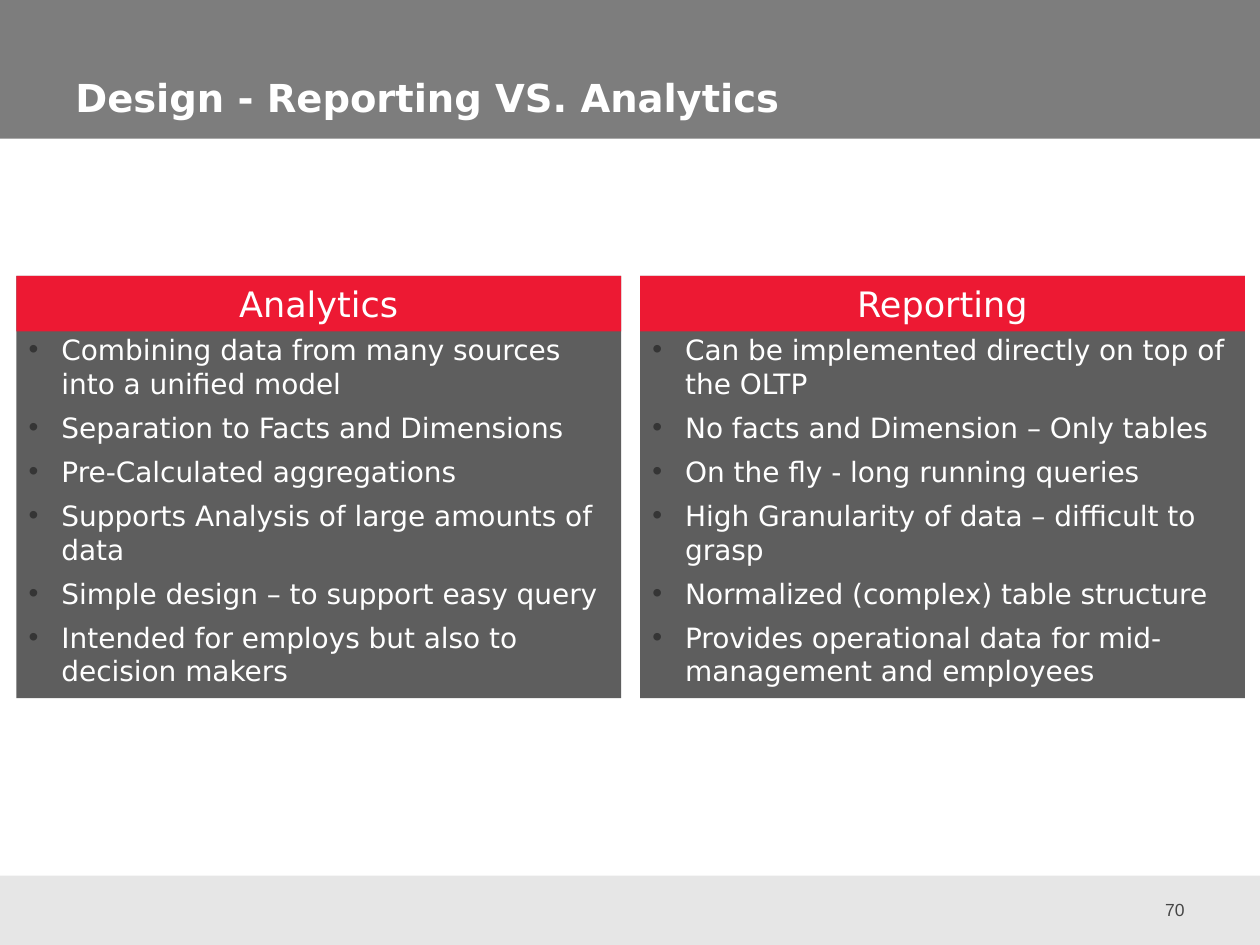
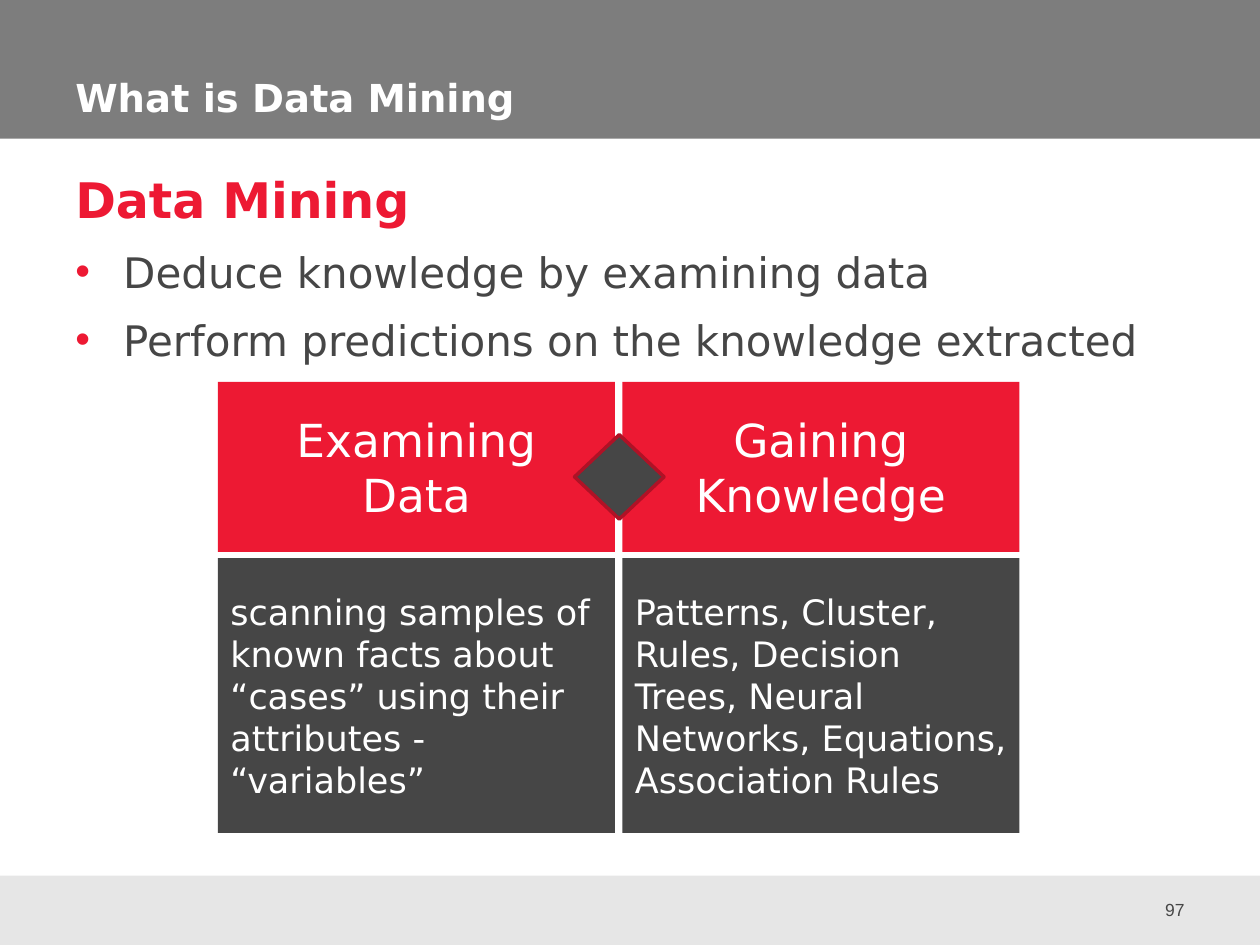
from dataclasses import dataclass
from typing import NamedTuple, Optional

import pptx
import pptx.dml.color
import pptx.enum.shapes
import pptx.enum.text
import pptx.oxml.ns
import pptx.presentation
import pptx.shapes.autoshape
import pptx.slide
import pptx.text.text
import pptx.util
from lxml import etree

Align = pptx.enum.text.PP_ALIGN
Anchor = pptx.enum.text.MSO_ANCHOR
Geometry = pptx.enum.shapes.MSO_SHAPE

SLIDE_WIDTH = pptx.util.Inches(10)
SLIDE_HEIGHT = pptx.util.Inches(7.5)


@dataclass(frozen=True)
class Theme:
    font: str = "DejaVu Sans"
    number_font: str = "Arial"
    white: str = "FFFFFF"
    red: str = "ED1933"
    dark_red: str = "AF1226"
    dark: str = "464646"
    panel: str = "5E5E5E"
    panel_bullet: str = "353535"
    title_band: str = "7D7D7D"
    footer_band: str = "E6E6E6"
    number_size: int = 10
    panel_size: int = 16
    label_size: int = 20
    title_size: int = 22
    body_size: int = 24
    tile_size: int = 26
    heading_size: int = 28


THEME = Theme()


class Box(NamedTuple):
    """Percentages of the slide's width and height."""
    left: float
    top: float
    width: float
    height: float

    def place(self) -> tuple[int, int, int, int]:
        return (int(SLIDE_WIDTH * self.left / 100), int(SLIDE_HEIGHT * self.top / 100),
                int(SLIDE_WIDTH * self.width / 100), int(SLIDE_HEIGHT * self.height / 100))


@dataclass(frozen=True)
class Grid:
    left: float
    top: float
    column_width: float
    column_gap: float
    row_heights: tuple[float, ...]
    row_gap: float = 0

    def cell(self, column: int, row: int, row_span: int = 1) -> Box:
        return Box(self.left + column * (self.column_width + self.column_gap),
                   self.top + sum(self.row_heights[:row]) + row * self.row_gap,
                   self.column_width,
                   sum(self.row_heights[row:row + row_span]) + (row_span - 1) * self.row_gap)


@dataclass(frozen=True)
class TextStyle:
    size: int
    color: str = THEME.white
    font: str = THEME.font
    bold: bool = False
    align: pptx.enum.text.PP_ALIGN = Align.LEFT
    space_before: int = 0
    indent: float = 0
    bullet_color: Optional[str] = None


class Line(NamedTuple):
    text: str
    style: TextStyle


class Column(NamedTuple):
    heading: tuple[str, ...]
    content: tuple[str, ...]


TITLE = TextStyle(THEME.title_size, bold=True)
PAGE_NUMBER = TextStyle(THEME.number_size, THEME.dark, THEME.number_font, align=Align.RIGHT)
PANEL_HEADING = TextStyle(THEME.label_size, align=Align.CENTER)
PANEL_ITEM = TextStyle(THEME.panel_size, space_before=6, indent=0.26,
                       bullet_color=THEME.panel_bullet)
BODY_HEADING = TextStyle(THEME.heading_size, THEME.red, bold=True)
BODY_ITEM = TextStyle(THEME.body_size, THEME.dark, space_before=10, indent=0.38,
                      bullet_color=THEME.red)
TILE_HEADING = TextStyle(THEME.tile_size, align=Align.CENTER)
TILE_TEXT = TextStyle(THEME.label_size)

TITLE_BAND = Box(0, 0, 100, 14.67)
FOOTER_BAND = Box(0, 92.67, 100, 7.33)
TITLE_BOX = Box(5, 5.07, 88.8, 8.27)
NUMBER_BOX = Box(90, 93.6, 5, 5.33)
BODY_BOX = Box(5, 17.33, 88.7, 70.8)
DIAMOND_BOX = Box(45.6, 46, 7.1, 8.93)
COMPARISON_GRID = Grid(1.3, 29.2, 48, 1.5, (5.87, 38.8))
MINING_GRID = Grid(17.3, 40.4, 31.5, 0.6, (18, 29.07), 0.67)

COMPARISON = (
    Column(("Analytics",), (
        "Combining data from many sources into a unified model",
        "Separation to Facts and Dimensions",
        "Pre-Calculated aggregations",
        "Supports Analysis of large amounts of data",
        "Simple design – to support easy query",
        "Intended for employs but also to decision makers",
    )),
    Column(("Reporting",), (
        "Can be implemented directly on top of the OLTP",
        "No facts and Dimension – Only tables",
        "On the fly - long running queries",
        "High Granularity of data – difficult to grasp",
        "Normalized (complex) table structure",
        "Provides operational data for mid-management and employees",
    )),
)

MINING = (
    Column(("Examining", "Data"), (
        "scanning samples of known facts about",
        "“cases” using their attributes - “variables”",
    )),
    Column(("Gaining", "Knowledge"), (
        "Patterns, Cluster, Rules, Decision Trees, Neural Networks, Equations, "
        "Association Rules",
    )),
)

MINING_BODY = (
    Line("Data Mining", BODY_HEADING),
    Line("Deduce knowledge by examining data", BODY_ITEM),
    Line("Perform predictions on the knowledge extracted", BODY_ITEM),
)


def rgb(color: str) -> pptx.dml.color.RGBColor:
    return pptx.dml.color.RGBColor.from_string(color)


def styled(texts: tuple[str, ...], style: TextStyle) -> tuple[Line, ...]:
    return tuple(Line(text, style) for text in texts)


def add_bullet(paragraph: pptx.text.text._Paragraph, style: TextStyle) -> None:
    qualified = pptx.oxml.ns.qn
    properties = paragraph._p.get_or_add_pPr()
    indent = pptx.util.Inches(style.indent)
    properties.set("marL", str(indent))
    properties.set("indent", str(-indent))
    color = etree.SubElement(properties, qualified("a:buClr"))
    etree.SubElement(color, qualified("a:srgbClr"), val=style.bullet_color)
    etree.SubElement(properties, qualified("a:buFont"), typeface=THEME.number_font)
    etree.SubElement(properties, qualified("a:buChar"), char="•")


def write(frame: pptx.text.text.TextFrame, lines: tuple[Line, ...],
          anchor: pptx.enum.text.MSO_ANCHOR, top_inset: float = 0.05) -> None:
    frame.word_wrap = True
    frame.vertical_anchor = anchor
    frame.margin_left = frame.margin_right = pptx.util.Inches(0.1)
    frame.margin_top = pptx.util.Inches(top_inset)
    frame.margin_bottom = pptx.util.Inches(0.05)
    for index, (text, style) in enumerate(lines):
        paragraph = frame.add_paragraph() if index else frame.paragraphs[0]
        if style.bullet_color:
            add_bullet(paragraph, style)
        paragraph.alignment = style.align
        paragraph.space_before = pptx.util.Pt(style.space_before if index else 0)
        run = paragraph.add_run()
        run.text = text
        run.font.name = style.font
        run.font.size = pptx.util.Pt(style.size)
        run.font.bold = style.bold
        run.font.color.rgb = rgb(style.color)


def add_block(slide: pptx.slide.Slide, box: Box, fill: str,
              geometry: pptx.enum.shapes.MSO_SHAPE = Geometry.RECTANGLE
              ) -> pptx.shapes.autoshape.Shape:
    shape = slide.shapes.add_shape(geometry, *box.place())
    shape.shadow.inherit = False
    shape.fill.solid()
    shape.fill.fore_color.rgb = rgb(fill)
    shape.line.fill.background()
    return shape


def add_text(slide: pptx.slide.Slide, box: Box, lines: tuple[Line, ...],
             anchor: pptx.enum.text.MSO_ANCHOR) -> None:
    write(slide.shapes.add_textbox(*box.place()).text_frame, lines, anchor)


def add_base_slide(presentation: pptx.presentation.Presentation,
                   title: str, number: int) -> pptx.slide.Slide:
    slide = presentation.slides.add_slide(presentation.slide_layouts[6])
    add_block(slide, TITLE_BAND, THEME.title_band)
    add_block(slide, FOOTER_BAND, THEME.footer_band)
    add_text(slide, NUMBER_BOX, (Line(str(number), PAGE_NUMBER),), Anchor.MIDDLE)
    add_text(slide, TITLE_BOX, (Line(title, TITLE),), Anchor.BOTTOM)
    return slide


def add_comparison_slide(presentation: pptx.presentation.Presentation) -> None:
    slide = add_base_slide(presentation, "Design - Reporting VS. Analytics", 70)
    for index, column in enumerate(COMPARISON):
        panel = add_block(slide, COMPARISON_GRID.cell(index, 0, row_span=2), THEME.panel)
        write(panel.text_frame, styled(column.content, PANEL_ITEM), Anchor.TOP, top_inset=0.45)
        header = add_block(slide, COMPARISON_GRID.cell(index, 0), THEME.red)
        write(header.text_frame, styled(column.heading, PANEL_HEADING), Anchor.MIDDLE)


def add_mining_slide(presentation: pptx.presentation.Presentation) -> None:
    slide = add_base_slide(presentation, "What is Data Mining", 97)
    add_text(slide, BODY_BOX, MINING_BODY, Anchor.TOP)
    for index, column in enumerate(MINING):
        rows = ((column.heading, TILE_HEADING, THEME.red),
                (column.content, TILE_TEXT, THEME.dark))
        for row, (texts, style, fill) in enumerate(rows):
            tile = add_block(slide, MINING_GRID.cell(index, row), fill)
            write(tile.text_frame, styled(texts, style), Anchor.MIDDLE)
    diamond = add_block(slide, DIAMOND_BOX, THEME.dark, Geometry.DIAMOND)
    diamond.line.color.rgb = rgb(THEME.dark_red)
    diamond.line.width = pptx.util.Pt(2)


def main() -> None:
    presentation = pptx.Presentation()
    presentation.slide_width = SLIDE_WIDTH
    presentation.slide_height = SLIDE_HEIGHT
    add_comparison_slide(presentation)
    add_mining_slide(presentation)
    presentation.save("out.pptx")


if __name__ == "__main__":
    main()
